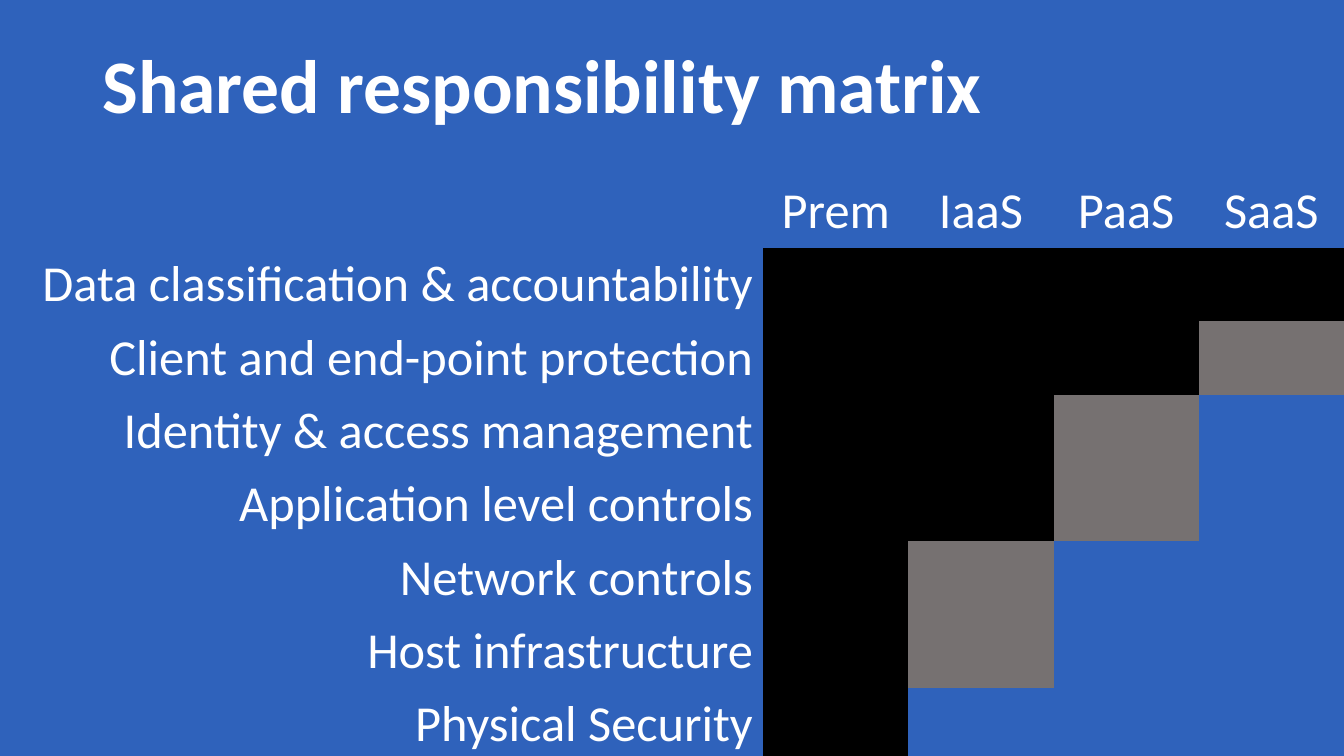
from lxml.etree import fromstring
from pptx import Presentation
from pptx.dml.color import RGBColor
from pptx.enum.text import MSO_ANCHOR, PP_ALIGN
from pptx.oxml.ns import nsdecls, qn
from pptx.util import Pt

BLUE = RGBColor(0x2F, 0x62, 0xBB)
BLACK = RGBColor(0, 0, 0)
GREY = RGBColor(0x76, 0x71, 0x71)
WHITE = RGBColor(0xFF, 0xFF, 0xFF)
EDGE = RGBColor(0xC1, 0xC9, 0xE4)
PLAIN_STYLE = "{2D5ABB26-0587-4C30-8999-92F81FD0307C}"


def write(frame, text, size=36, bold=False, align=PP_ALIGN.LEFT, spacing=1.0):
    frame.word_wrap = True
    frame.vertical_anchor = MSO_ANCHOR.MIDDLE
    paragraph = frame.paragraphs[0]
    paragraph.alignment = align
    paragraph.line_spacing = spacing
    run = paragraph.add_run()
    run.text = text
    run.font.name = "Calibri"
    run.font.size = Pt(size)
    run.font.bold = bold
    run.font.color.rgb = WHITE


def add_border(cell, side):
    cell._tc.get_or_add_tcPr().insert(0, fromstring(
        f'<a:{side} {nsdecls("a")} w="6350"><a:solidFill>'
        f'<a:srgbClr val="{EDGE}"/></a:solidFill></a:{side}>'))


deck = Presentation()
deck.slide_width, deck.slide_height = Pt(960), Pt(540)
slide = deck.slides.add_slide(deck.slide_layouts[5])
slide.background.fill.solid()
slide.background.fill.fore_color.rgb = BLUE

# Title
title = slide.shapes.title
title.left, title.top, title.width, title.height = Pt(66), Pt(11.5), Pt(828), Pt(104.4)
write(title.text_frame, "Shared responsibility matrix", size=54, bold=True, spacing=0.9)

# Who answers for each layer: C customer, S shared, P provider
models = ["Prem", "IaaS", "PaaS", "SaaS"]
layers = [
    ("Data classification & accountability", "CCCC"),
    ("Client and end-point protection", "CCCS"),
    ("Identity & access management", "CCSP"),
    ("Application level controls", "CCSP"),
    ("Network controls", "CSPP"),
    ("Host infrastructure", "CSPP"),
    ("Physical Security", "CPPP"),
]
owner_fill = {"C": BLACK, "S": GREY, "P": BLUE}

# Matrix
row_height, layer_width, model_width = 52.4, 545.2, 103.7
matrix = slide.shapes.add_table(
    len(layers) + 1, len(models) + 1, Pt(0), Pt(124.7),
    Pt(960), Pt(row_height * (len(layers) + 1))).table
matrix.first_row = matrix.horz_banding = False
matrix._tbl.tblPr.find(qn("a:tableStyleId")).text = PLAIN_STYLE
for row in matrix.rows:
    row.height = Pt(row_height)
for index, column in enumerate(matrix.columns):
    column.width = Pt(model_width if index else layer_width)
for cell in matrix.iter_cells():
    cell.fill.solid()
    cell.fill.fore_color.rgb = BLUE
    cell.vertical_anchor = MSO_ANCHOR.MIDDLE

# Headings
for col, model in enumerate(models, 1):
    write(matrix.cell(0, col).text_frame, model, align=PP_ALIGN.CENTER)

# Layers and their owners
for row, (layer, owners) in enumerate(layers, 1):
    write(matrix.cell(row, 0).text_frame, layer, align=PP_ALIGN.RIGHT)
    for col, owner in enumerate(owners, 1):
        cell = matrix.cell(row, col)
        cell.fill.fore_color.rgb = owner_fill[owner]
        if row == len(layers):
            add_border(cell, "lnB")
        if col == len(models):
            add_border(cell, "lnR")

deck.save("out.pptx")
